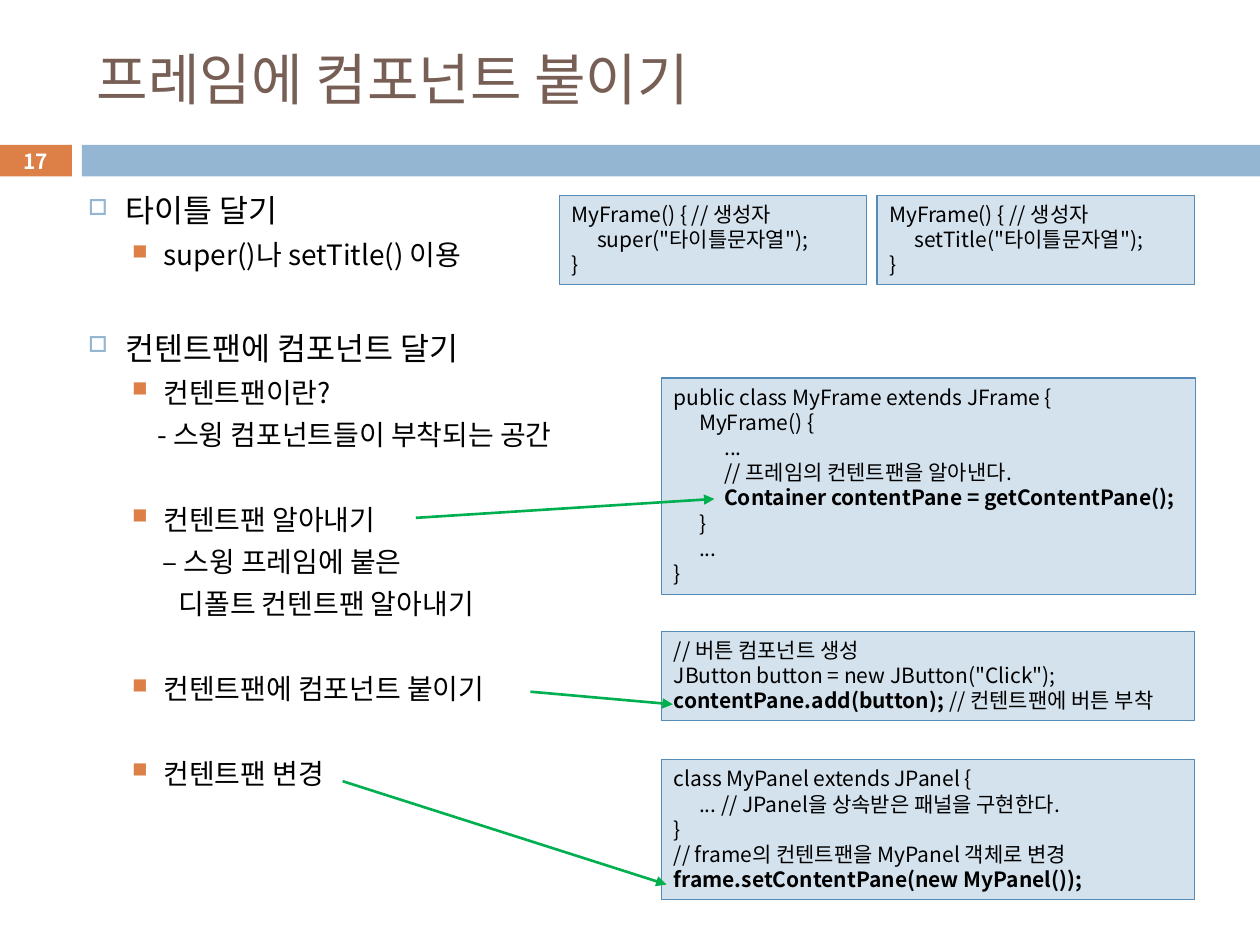
import dataclasses

import lxml.etree
import pptx
import pptx.dml.color
import pptx.enum.shapes
import pptx.enum.text
import pptx.oxml.ns
import pptx.util

Inches = pptx.util.Inches
Pt = pptx.util.Pt
ALIGN = pptx.enum.text.PP_ALIGN
ANCHOR = pptx.enum.text.MSO_ANCHOR


@dataclasses.dataclass(frozen=True)
class Theme:
    font: str = "Noto Sans CJK KR"
    title: str = "775F55"
    text: str = "000000"
    inverse: str = "FFFFFF"
    accent: str = "DD8047"
    band: str = "94B6D2"
    code_fill: str = "D4E2ED"
    code_line: str = "558BB8"
    arrow: str = "00B050"
    title_size: float = 32
    topic_size: float = 18
    point_size: float = 16
    code_size: float = 12
    number_size: float = 11.9
    line_height: float = 1.2


THEME = Theme()

# Outline styles: size, left margin, first-line indent, bullet, bullet colour, bullet percent
OUTLINE_STYLES = {
    "topic": (THEME.topic_size, 0.7, -0.3, "□", THEME.band, 70),
    "point": (THEME.point_size, 1, -0.25, "■", THEME.accent, 75),
    "dash": (THEME.point_size, 0.95, 0, None, None, None),
    "long dash": (THEME.point_size, 0.99, 0, None, None, None),
    "continued": (THEME.point_size, 1.12, 0, None, None, None),
}

# Style, text, space before in points
OUTLINE = [
    ("topic", "타이틀 달기", 0),
    ("point", "super()나 setTitle() 이용", 5),
    ("topic", "컨텐트팬에 컴포넌트 달기", 32.6),
    ("point", "컨텐트팬이란?", 5),
    ("dash", "- 스윙 컴포넌트들이 부착되는 공간", 5),
    ("point", "컨텐트팬 알아내기", 29.2),
    ("long dash", "– 스윙 프레임에 붙은", 5),
    ("continued", "디폴트 컨텐트팬 알아내기", 5),
    ("point", "컨텐트팬에 컴포넌트 붙이기", 29.2),
    ("point", "컨텐트팬 변경", 29.2),
]

# Box and code; text between ** marks is bold
CODE_BOXES = [
    ((4.44, 1.55, 2.44, 0.71), """MyFrame() { // 생성자
\tsuper("타이틀문자열");
}"""),
    ((6.96, 1.55, 2.52, 0.71), """MyFrame() { // 생성자
\tsetTitle("타이틀문자열");
}"""),
    ((5.25, 3, 4.24, 1.72), """public class MyFrame extends JFrame {
\tMyFrame() {
\t\t...
\t\t// 프레임의 컨텐트팬을 알아낸다.
\t\t**Container contentPane = getContentPane();**
\t}
\t...
}"""),
    ((5.25, 5.01, 4.23, 0.71), """// 버튼 컴포넌트 생성
JButton button = new JButton("Click");
**contentPane.add(button); **// 컨텐트팬에 버튼 부착"""),
    ((5.25, 6.03, 4.23, 1.11), """class MyPanel extends JPanel {
\t... // JPanel을 상속받은 패널을 구현한다.
}
// frame의 컨텐트팬을 MyPanel 객체로 변경
**frame.setContentPane(new MyPanel());**"""),
]

ARROWS = [(3.3, 4.11, 5.67, 3.96), (4.21, 5.49, 5.34, 5.59), (2.72, 6.2, 5.29, 7.02)]


def color(value):
    return pptx.dml.color.RGBColor.from_string(value)


def set_values(target, values):
    for name, value in values.items():
        setattr(target, name, value)


def add_element(parent, tag, **attributes):
    element = lxml.etree.SubElement(parent, pptx.oxml.ns.qn(tag))
    for name, value in attributes.items():
        element.set(name, str(value))
    return element


def add_run(paragraph, text, size, text_color, bold=False):
    run = paragraph.add_run()
    run.text = text
    set_values(run.font, {"name": THEME.font, "size": Pt(size), "bold": bold})
    run.font.color.rgb = color(text_color)
    add_element(run.font._element, "a:ea", typeface=THEME.font)


def prepare_frame(shape, anchor=ANCHOR.TOP, **margins):
    set_values(shape.text_frame, {"word_wrap": True, "vertical_anchor": anchor, **margins})
    return shape.text_frame


def paragraphs_for(frame, items):
    for index, item in enumerate(items):
        yield (frame.add_paragraph() if index else frame.paragraphs[0]), item


def add_text_box(slide, box, anchor=ANCHOR.TOP):
    return prepare_frame(slide.shapes.add_textbox(*map(Inches, box)), anchor)


def add_rectangle(slide, box, fill, line=None):
    kind = pptx.enum.shapes.MSO_SHAPE.RECTANGLE
    shape = slide.shapes.add_shape(kind, *map(Inches, box))
    shape.shadow.inherit = False
    shape.fill.solid()
    shape.fill.fore_color.rgb = color(fill)
    if line:
        shape.line.color.rgb = color(line)
        shape.line.width = Pt(0.75)
    else:
        shape.line.fill.background()
    return shape


def add_outline(slide, box):
    frame = add_text_box(slide, box)
    for paragraph, (style, text, space) in paragraphs_for(frame, OUTLINE):
        size, margin, indent, bullet, bullet_color, percent = OUTLINE_STYLES[style]
        properties = paragraph._p.get_or_add_pPr()
        properties.set("marL", str(Inches(margin)))
        properties.set("indent", str(Inches(indent)))
        if bullet:
            add_element(add_element(properties, "a:buClr"), "a:srgbClr", val=bullet_color)
            add_element(properties, "a:buSzPct", val=percent * 1000)
            add_element(properties, "a:buChar", char=bullet)
        set_values(paragraph, {"space_before": Pt(space),
                               "line_spacing": Pt(size * THEME.line_height)})
        add_run(paragraph, text, size, THEME.text)


def add_code_box(slide, box, code):
    frame = prepare_frame(add_rectangle(slide, box, THEME.code_fill, THEME.code_line))
    for paragraph, line in paragraphs_for(frame, code.split("\n")):
        tabs = add_element(paragraph._p.get_or_add_pPr(), "a:tabLst")
        for step in (1, 2):
            add_element(tabs, "a:tab", pos=Inches(0.2 * step), algn="l")
        set_values(paragraph, {"alignment": ALIGN.LEFT,
                               "line_spacing": Pt(THEME.code_size * THEME.line_height)})
        for index, part in enumerate(line.split("**")):
            if part:
                add_run(paragraph, part, THEME.code_size, THEME.text, index % 2 == 1)


def add_arrow(slide, ends):
    kind = pptx.enum.shapes.MSO_CONNECTOR.STRAIGHT
    connector = slide.shapes.add_connector(kind, *map(Inches, ends))
    connector.line.color.rgb = color(THEME.arrow)
    connector.line.width = Pt(1.5)
    add_element(connector.line._get_or_add_ln(), "a:tailEnd", type="triangle")
    add_element(connector._element.spPr, "a:effectLst")


def main():
    presentation = pptx.Presentation()
    set_values(presentation, {"slide_width": Inches(10), "slide_height": Inches(7.5)})
    slide = presentation.slides.add_slide(presentation.slide_layouts[6])

    # Header band with slide number
    number_box = add_rectangle(slide, (-0.01, 1.15, 0.58, 0.25), THEME.accent)
    add_rectangle(slide, (0.65, 1.15, 9.35, 0.25), THEME.band)
    frame = prepare_frame(number_box, ANCHOR.MIDDLE, margin_top=0, margin_bottom=0)
    frame.paragraphs[0].alignment = ALIGN.CENTER
    add_run(frame.paragraphs[0], "17", THEME.number_size, THEME.inverse, True)

    # Title and outline
    title = add_text_box(slide, (0.67, 0.25, 8.92, 0.74), ANCHOR.MIDDLE)
    add_run(title.paragraphs[0], "프레임에 컴포넌트 붙이기", THEME.title_size, THEME.title)
    add_outline(slide, (0.2, 1.47, 8.92, 5.51))

    # Code samples and the arrows that lead to them
    for box, code in CODE_BOXES:
        add_code_box(slide, box, code)
    for ends in ARROWS:
        add_arrow(slide, ends)

    presentation.save("out.pptx")


if __name__ == "__main__":
    main()
